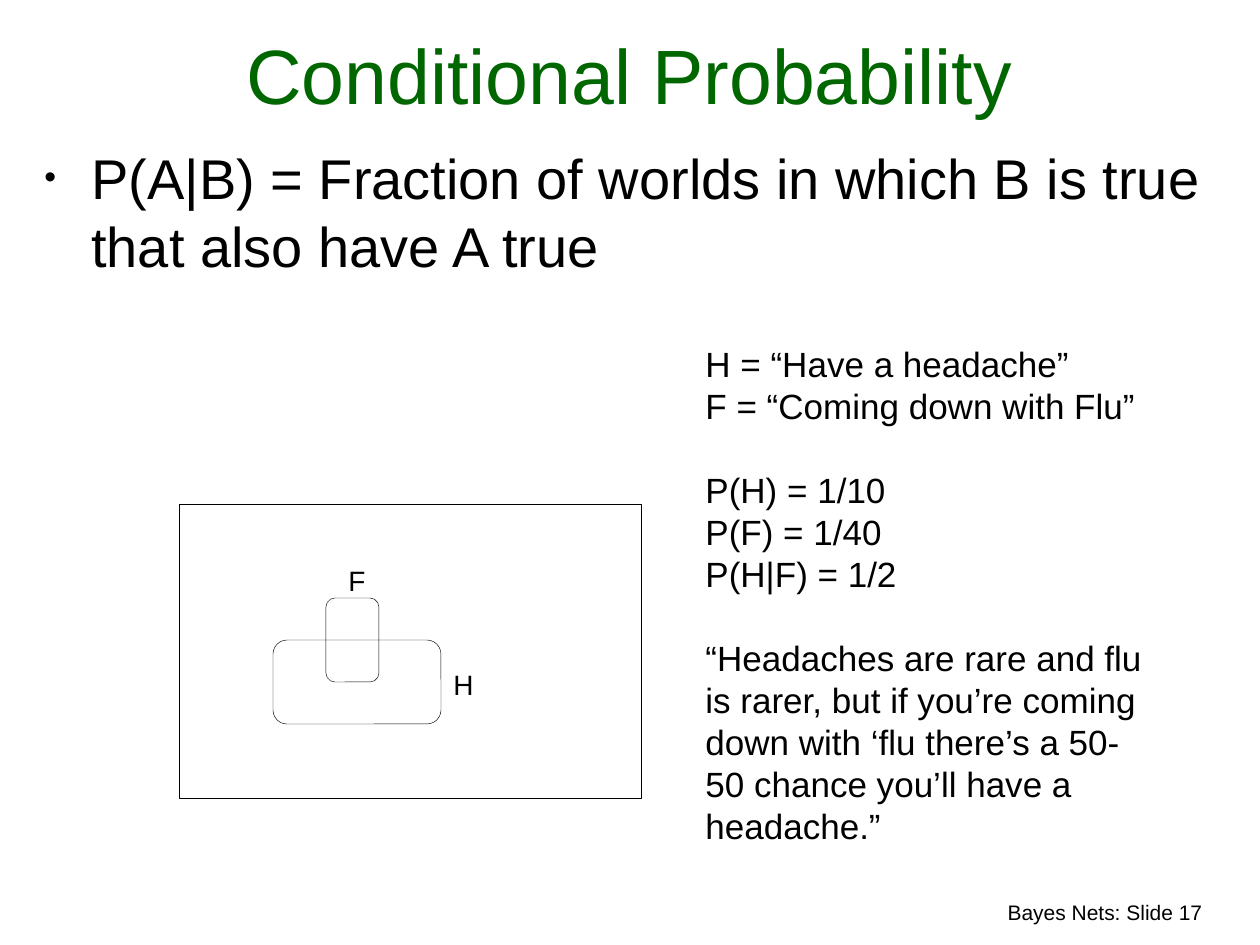
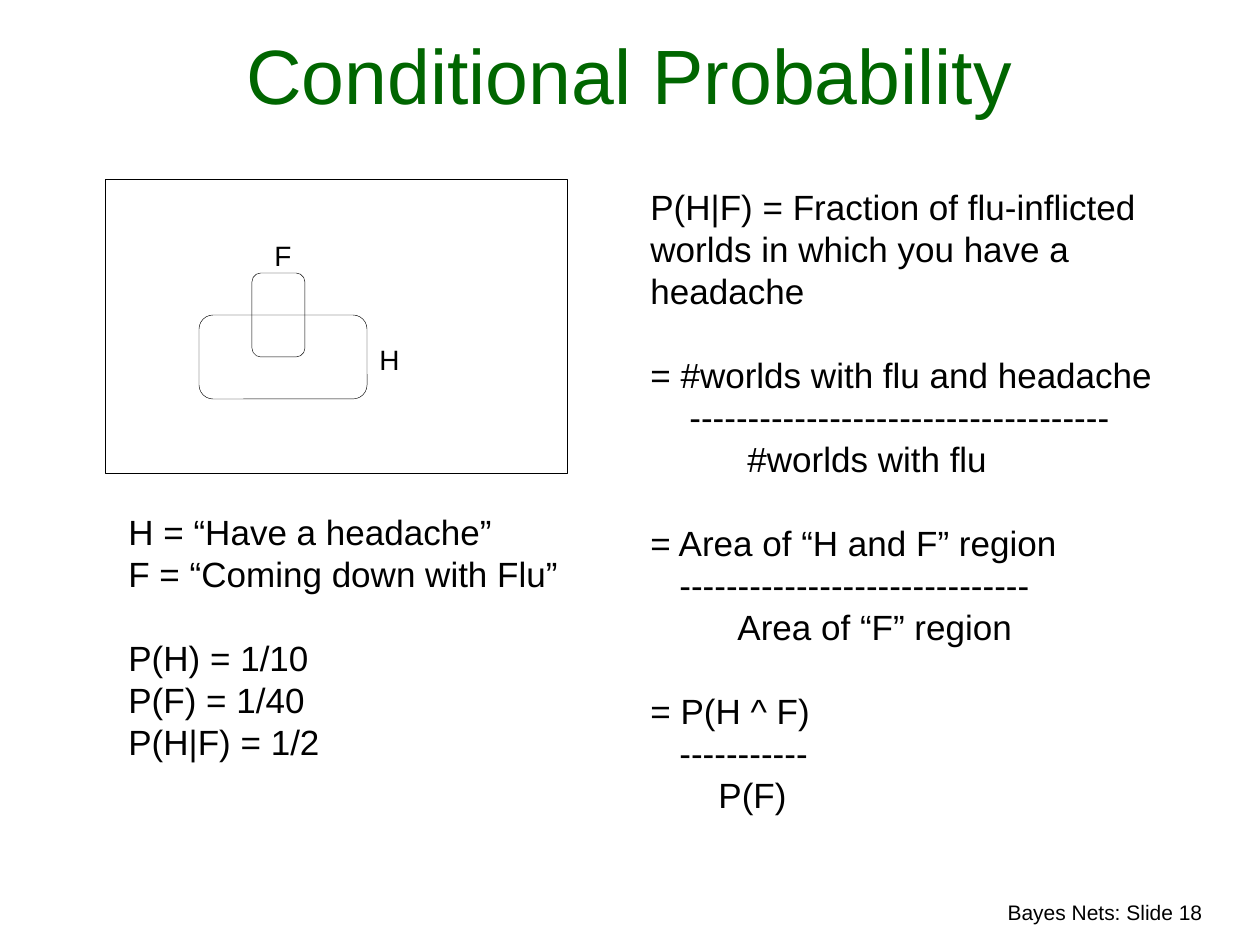
"""Build two slides on conditional probability with the headache and flu example."""
from lxml import etree
from pptx import Presentation
from pptx.dml.color import RGBColor
from pptx.enum.shapes import MSO_SHAPE
from pptx.enum.text import MSO_ANCHOR, MSO_AUTO_SIZE, PP_ALIGN
from pptx.oxml.ns import qn
from pptx.util import Emu, Pt

RECTANGLE = MSO_SHAPE.RECTANGLE
ROUNDED = MSO_SHAPE.ROUNDED_RECTANGLE
LEFT, CENTER, RIGHT = PP_ALIGN.LEFT, PP_ALIGN.CENTER, PP_ALIGN.RIGHT
BOTTOM = MSO_ANCHOR.BOTTOM
NO_AUTOFIT = MSO_AUTO_SIZE.NONE

GREEN = RGBColor(0x00, 0x66, 0x00)
BLACK = RGBColor(0x00, 0x00, 0x00)
FONT = "Arial"
EMU_PER_PX = 914400 / 126
PAGE_WIDTH, PAGE_HEIGHT = 1260, 945
BULLET_INDENT = 47
LINE_HEIGHT = 24

FACTS = [
    ("H = “Have a headache”", 0, 0),
    ("F = “Coming down with Flu”", 0, 0),
    ("P(H) = 1/10", 0, LINE_HEIGHT),
    ("P(F) = 1/40", 0, 0),
    ("P(H|F) = 1/2", 0, 0),
]
MORAL = (
    "“Headaches are rare and flu is rarer, but if you’re coming down with "
    "‘flu there’s a 50-50 chance you’ll have a headache.”"
)
FRACTIONS = [
    ("= #worlds with flu and headache", 36, 39, "#worlds with flu", 97),
    ("= Area of “H and F” region", 30, 29, "Area of “F” region", 87),
    ("= P(H ^ F)", 11, 29, "P(F)", 68),
]


def px(length):
    """Turn a length in px into EMU."""
    return Emu(round(length * EMU_PER_PX))


class SlideBuilder:
    """Hold the shared style and the current slide."""

    def __init__(self):
        """Start a deck with the right slide size."""
        self.deck = Presentation()
        self.deck.slide_width = px(PAGE_WIDTH)
        self.deck.slide_height = px(PAGE_HEIGHT)
        self.page = None

    def start_page(self, title, number):
        """Add a slide with its title and footer."""
        self.page = self.deck.slides.add_slide(self.deck.slide_layouts[5])
        box = self.page.shapes.title
        box.left, box.top, box.width, box.height = map(px, (10, 21, 1239, 105))
        frame = box.text_frame
        frame.auto_size = NO_AUTOFIT
        frame.vertical_anchor = BOTTOM
        self.add_span(frame.paragraphs[0], title, 44, GREEN, CENTER)
        self.text((721, 893, 494, 38), [(f"Bayes Nets: Slide {number}", 0, 0)], 12, RIGHT)

    def add_span(self, para, text, size, color=BLACK, align=LEFT):
        """Put one formatted run into a paragraph."""
        para.alignment = align
        span = para.add_run()
        span.text = text
        span.font.name = FONT
        span.font.size = Pt(size)
        span.font.color.rgb = color

    def text(self, place, lines, size=20, align=LEFT, wrap=True, spacing=None):
        """Add a text box of lines, each with its indent in px and gap in points."""
        box = self.page.shapes.add_textbox(*map(px, place))
        frame = box.text_frame
        frame.word_wrap = wrap
        for index, (words, indent, gap) in enumerate(lines):
            para = frame.add_paragraph() if index else frame.paragraphs[0]
            para.space_before = Pt(gap)
            para.line_spacing = Pt(spacing or size * 1.2)
            if indent:
                para._p.get_or_add_pPr().set("marL", str(px(indent)))
            self.add_span(para, words, size, align=align)
        return box

    def bullet(self, place, words):
        """Add a large bulleted statement."""
        box = self.text(place, [(words, BULLET_INDENT, 0)], 32, spacing=39)
        properties = box.text_frame.paragraphs[0]._p.get_or_add_pPr()
        properties.set("indent", str(-px(BULLET_INDENT)))
        etree.SubElement(properties, qn("a:buSzPct")).set("val", "60000")
        etree.SubElement(properties, qn("a:buFont")).set("typeface", FONT)
        etree.SubElement(properties, qn("a:buChar")).set("char", "•")

    def outline(self, kind, left, top, width, height):
        """Add an unfilled shape with a hairline."""
        shape = self.page.shapes.add_shape(kind, *map(px, (left, top, width, height)))
        shape.shadow.inherit = False
        shape.fill.background()
        shape.line.color.rgb = BLACK
        shape.line.width = Pt(0.25)

    def worlds(self, left, top):
        """Draw all worlds with the overlapping regions H and F."""
        self.outline(RECTANGLE, left, top, 462, 294)
        self.outline(ROUNDED, left + 94, top + 136, 168, 84)
        self.outline(ROUNDED, left + 147, top + 94, 53, 84)
        for label, across, down in (("F", 156, 53), ("H", 262, 157)):
            place = (left + across, top + down, 44, 47)
            self.text(place, [(label, 0, 0)], 16, CENTER, wrap=False)


def main():
    """Build both slides and save the deck."""
    builder = SlideBuilder()
    title = "Conditional Probability"

    builder.start_page(title, 17)
    builder.bullet(
        (32, 136, 1182, 169),
        "P(A|B) = Fraction of worlds in which B is true that also have A true",
    )
    builder.worlds(179, 504)
    builder.text((693, 336, 462, 517), FACTS + [(MORAL, 0, LINE_HEIGHT)])

    builder.start_page(title, 18)
    builder.worlds(105, 179)
    builder.text((116, 504, 462, 265), FACTS)
    derivation = [
        ("P(H|F) = Fraction of flu-inflicted worlds in which you have a headache", 0, 0)
    ]
    for numerator, dashes, bar_indent, denominator, indent in FRACTIONS:
        derivation += [
            (numerator, 0, LINE_HEIGHT),
            ("-" * dashes, bar_indent, 0),
            (denominator, indent, 0),
        ]
    builder.text((638, 179, 585, 643), derivation)

    builder.deck.save("out.pptx")


if __name__ == "__main__":
    main()
